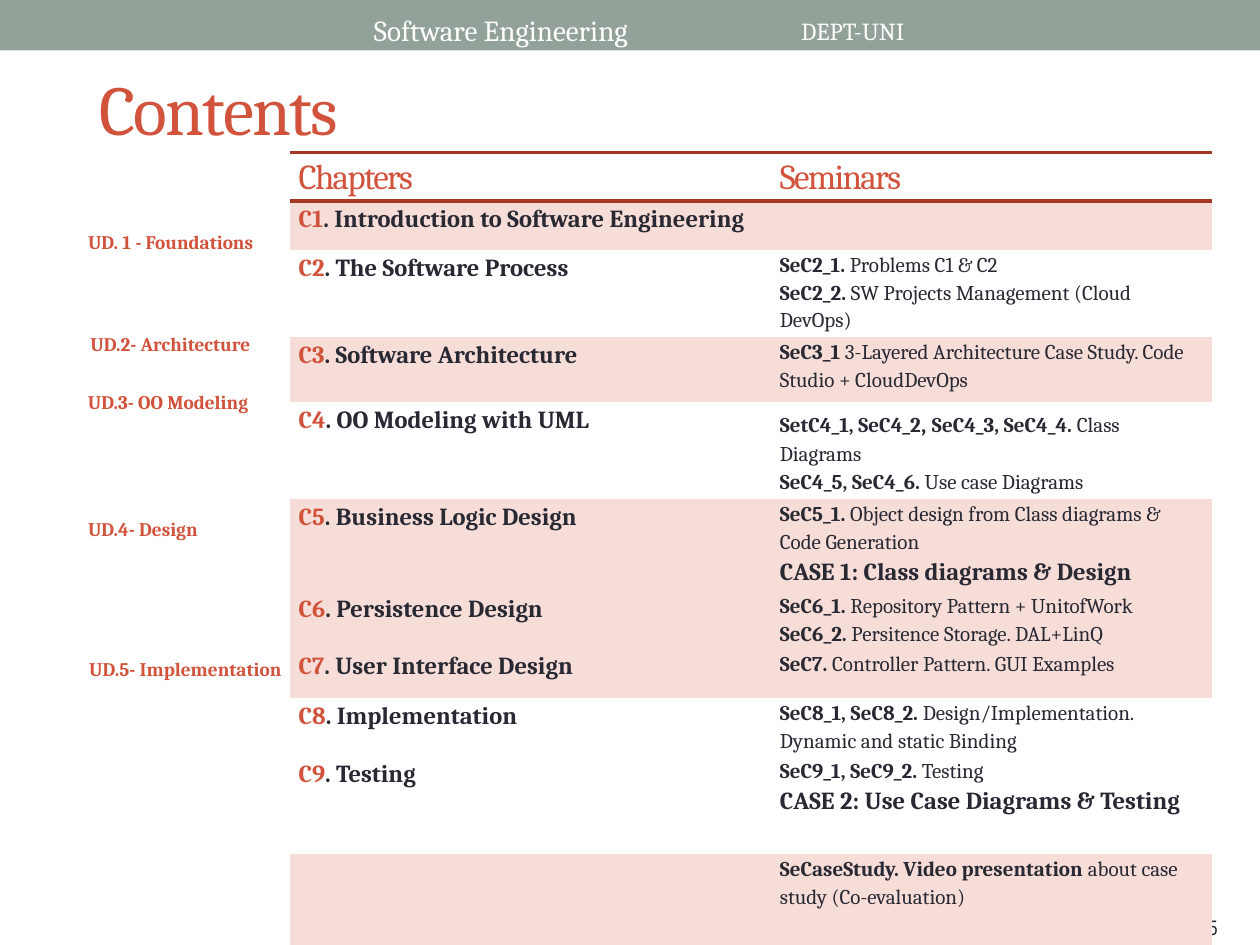
from lxml.etree import SubElement
from pptx import Presentation
from pptx.dml.color import RGBColor
from pptx.enum.shapes import MSO_SHAPE
from pptx.enum.text import MSO_ANCHOR
from pptx.oxml import parse_xml
from pptx.oxml.ns import nsdecls, qn
from pptx.util import Inches, Pt

RED = RGBColor(0xD2, 0x53, 0x3C)
RULE = RGBColor(0xA5, 0x39, 0x26)
INK = RGBColor(0x29, 0x29, 0x34)
BAND = RGBColor(0xF6, 0xDD, 0xD8)
SAGE = RGBColor(0x93, 0xA2, 0x99)
WHITE = RGBColor(0xFF, 0xFF, 0xFF)
SERIF = "Cambria"

# Seminar runs: (text, size, bold)


def topic(code, description):
    return [(code + " ", 12, True), (description, 12, False)]


def case(title):
    return [(title, 14, True)]


# Chapter code, chapter title, seminar lines, row height, banded
ROWS = [
    ("C1", "Introduction to Software Engineering", [], 0.39, True),
    ("C2", "The Software Process",
     [topic("SeC2_1.", "Problems C1 & C2"),
      topic("SeC2_2.", "SW Projects Management (Cloud DevOps)")], 0.66, False),
    ("C3", "Software Architecture",
     [topic("SeC3_1", "3-Layered Architecture Case Study. Code Studio + CloudDevOps")],
     0.52, True),
    ("C4", "OO Modeling with UML",
     [[("SetC4_1, SeC4_2", 12, True), (", ", 16, False)]
      + topic("SeC4_3, SeC4_4.", "Class Diagrams"),
      topic("SeC4_5, SeC4_6.", "Use case Diagrams")], 0.73, False),
    ("C5", "Business Logic Design",
     [topic("SeC5_1.", "Object design from Class diagrams & Code Generation"),
      case("CASE 1: Class diagrams & Design")], 0.7, True),
    ("C6", "Persistence Design",
     [topic("SeC6_1.", "Repository Pattern + UnitofWork"),
      topic("SeC6_2.", "Persitence Storage. DAL+LinQ")], 0.44, True),
    ("C7", "User Interface Design",
     [topic("SeC7.", "Controller Pattern. GUI Examples")], 0.39, True),
    ("C8", "Implementation",
     [topic("SeC8_1, SeC8_2.", "Design/Implementation. Dynamic and static Binding")],
     0.44, False),
    ("C9", "Testing",
     [topic("SeC9_1, SeC9_2.", "Testing"),
      case("CASE 2: Use Case Diagrams & Testing")], 0.78, False),
    ("", "",
     [topic("SeCaseStudy. Video presentation", "about case study (Co-evaluation)")],
     0.78, True),
]
HEADER_HEIGHT = 0.37
COLUMNS = (3.82, 3.5)

UNITS = [
    ("UD. 1 - Foundations", 0.6, 1.78, 1.59),
    ("UD.2- Architecture", 0.62, 2.59, 1.53),
    ("UD.3- OO Modeling", 0.6, 3.05, 1.54),
    ("UD.4- Design", 0.6, 4.06, 1.11),
    ("UD.5- Implementation", 0.61, 5.17, 1.78),
]


def style_font(font, size, color, bold=False, name=SERIF):
    font.name = name
    font.size = Pt(size)
    font.bold = bold
    font.color.rgb = color


def add_run(paragraph, text, size, color, bold=False, spacing=None):
    run = paragraph.add_run()
    run.text = text
    style_font(run.font, size, color, bold)
    if spacing is not None:
        run.font._element.set("spc", str(spacing))


def add_label(slide, text, box, size, color, bold=False, name=SERIF, wrap=True):
    shape = slide.shapes.add_textbox(*(Inches(length) for length in box))
    frame = shape.text_frame
    frame.word_wrap = wrap
    paragraph = frame.paragraphs[0]
    paragraph.text = text
    style_font(paragraph.font, size, color, bold, name)
    return shape


def add_title(slide):
    shape = add_label(slide, "", (0.69, 0.21, 8.04, 1.28), 40, RED)
    shape.text_frame.vertical_anchor = MSO_ANCHOR.MIDDLE
    add_run(shape.text_frame.paragraphs[0], "Contents", 40, RED, spacing=-100)


def set_borders(cell, top, bottom):
    properties = cell._tc.get_or_add_tcPr()
    sides = (("lnL", False), ("lnR", False), ("lnT", top), ("lnB", bottom))
    for position, (side, ruled) in enumerate(sides):
        width = Pt(2.25) if ruled else 0
        line = parse_xml(f'<a:{side} {nsdecls("a")} w="{width}"/>')
        if ruled:
            fill = SubElement(line, qn("a:solidFill"))
            SubElement(fill, qn("a:srgbClr"), val=str(RULE))
        else:
            SubElement(line, qn("a:noFill"))
        properties.insert(position, line)


def format_cell(cell, banded, top=False, bottom=False):
    cell.margin_left = cell.margin_right = Inches(0.07)
    cell.margin_top = cell.margin_bottom = 0
    if banded:
        cell.fill.solid()
        cell.fill.fore_color.rgb = BAND
    else:
        cell.fill.background()
    set_borders(cell, top, bottom)


def cell_paragraph(cell, index=0):
    frame = cell.text_frame
    paragraph = frame.add_paragraph() if index else frame.paragraphs[0]
    paragraph.line_spacing = 1.15
    return paragraph


def add_contents_table(slide):
    heights = [HEADER_HEIGHT] + [row[3] for row in ROWS]
    table = slide.shapes.add_table(
        len(heights), len(COLUMNS), Inches(2.3), Inches(1.21),
        Inches(sum(COLUMNS)), Inches(sum(heights))).table
    table.first_row = table.horz_banding = False
    for column, width in zip(table.columns, COLUMNS):
        column.width = Inches(width)
    for row, height in zip(table.rows, heights):
        row.height = Inches(height)

    # Header row
    for index, heading in enumerate(("Chapters", "Seminars")):
        cell = table.cell(0, index)
        format_cell(cell, False, top=True, bottom=True)
        add_run(cell_paragraph(cell), heading, 20, RED, spacing=-100)

    # Chapter rows
    for index, (code, title, seminars, _, banded) in enumerate(ROWS, 1):
        chapter_cell, seminar_cell = table.cell(index, 0), table.cell(index, 1)
        for cell in (chapter_cell, seminar_cell):
            format_cell(cell, banded, top=index == 1, bottom=index == len(ROWS))
        if code:
            paragraph = cell_paragraph(chapter_cell)
            add_run(paragraph, code, 14, RED, True)
            add_run(paragraph, ". " + title, 14, INK, True)
        for line, runs in enumerate(seminars):
            paragraph = cell_paragraph(seminar_cell, line)
            for text, size, bold in runs:
                add_run(paragraph, text, size, INK, bold)


def add_header_band(slide, width):
    band = slide.shapes.add_shape(MSO_SHAPE.RECTANGLE, 0, 0, width, Inches(0.4))
    band.shadow.inherit = False
    band.fill.solid()
    band.fill.fore_color.rgb = SAGE
    band.line.fill.background()


def main():
    presentation = Presentation()
    presentation.slide_width = Inches(10)
    presentation.slide_height = Inches(7.5)
    slide = presentation.slides.add_slide(presentation.slide_layouts[6])

    # Header, title and page number
    add_header_band(slide, presentation.slide_width)
    add_title(slide)
    add_label(slide, "Software Engineering", (2.87, 0.05, 2.83, 0.36), 16.6, WHITE)
    add_label(slide, "DEPT-UNI", (6.26, 0.08, 3.31, 0.29), 14, WHITE)
    add_label(slide, "5", (9.49, 7.21, 0.51, 0.29), 12, INK, name="Arial Narrow")

    # Contents and unit labels
    add_contents_table(slide)
    for text, left, top, width in UNITS:
        add_label(slide, text, (left, top, width, 0.29), 11, RED, True, wrap=False)

    presentation.save("out.pptx")


main()
